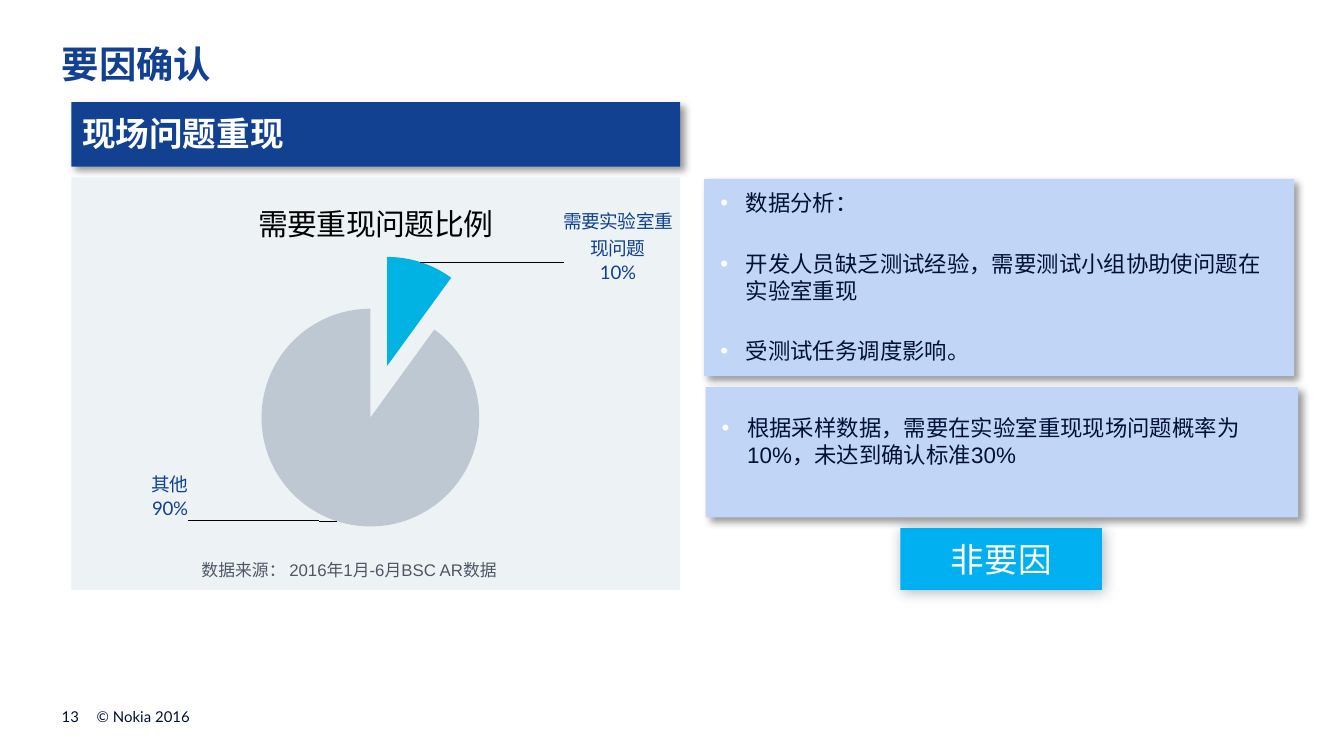
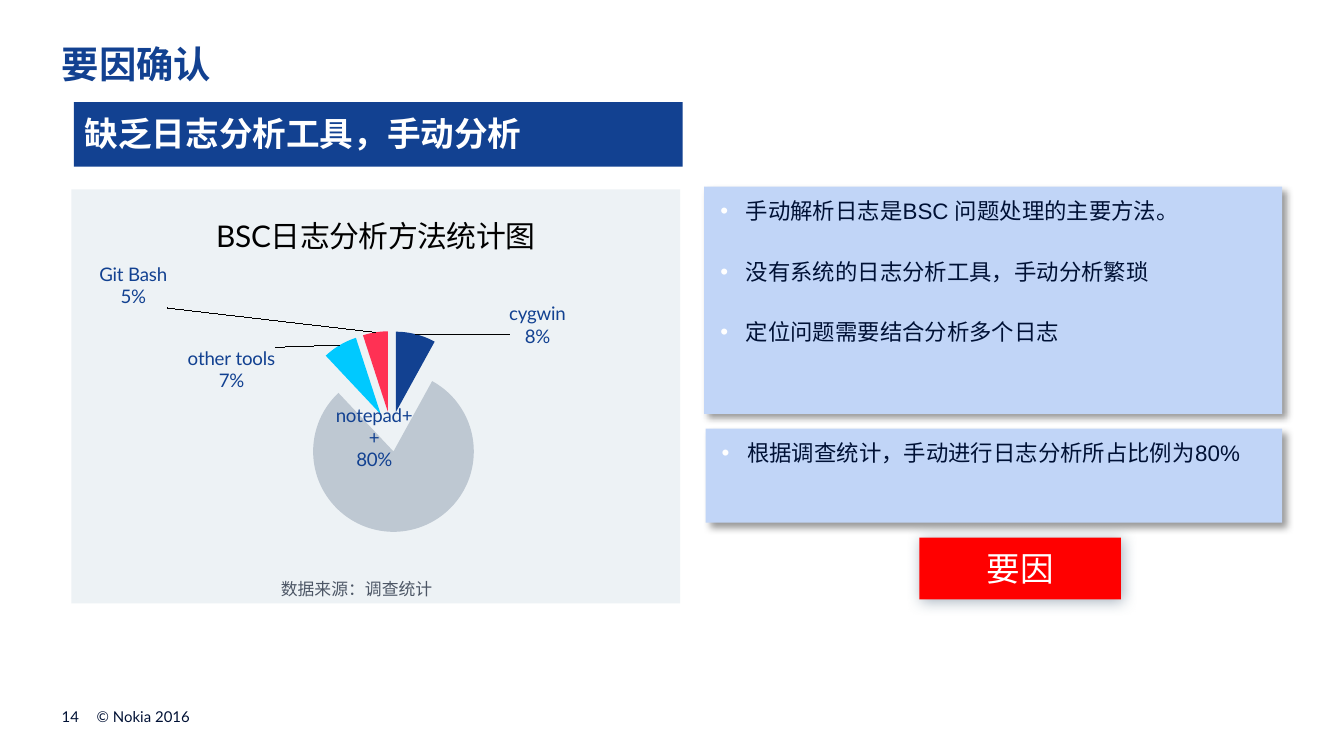
from dataclasses import dataclass

from lxml import etree
from pptx import Presentation
from pptx.chart.data import CategoryChartData
from pptx.dml.color import RGBColor
from pptx.enum.chart import XL_CHART_TYPE
from pptx.enum.shapes import MSO_SHAPE
from pptx.enum.text import MSO_ANCHOR, PP_ALIGN
from pptx.oxml import parse_xml
from pptx.oxml.ns import nsdecls, qn
from pptx.util import Pt


@dataclass(frozen=True)
class Theme:
    navy: str = "124191"
    ink: str = "001135"
    grey: str = "4D5766"
    black: str = "000000"
    white: str = "FFFFFF"
    panel: str = "EDF2F5"
    note: str = "C1D5F7"
    slate: str = "BEC8D2"
    sky: str = "00B3E3"
    cyan: str = "00C9FF"
    rose: str = "FF3154"
    minor: str = "00B0F0"
    major: str = "FF0000"
    haze: str = "6E8296"
    heading: str = "Roboto"
    label: str = "Lato"
    body: str = "Arial"
    title_size: int = 20
    banner_size: int = 18
    chart_title_size: int = 16
    body_size: int = 12
    chart_size: int = 10
    source_size: int = 9
    footer_size: int = 8


@dataclass(frozen=True)
class Box:
    left: float
    top: float
    width: float
    height: float

    def lengths(self):
        return [Pt(v) for v in (self.left, self.top, self.width, self.height)]


THEME = Theme()
TITLE_BOX = Box(33.1, 22.3, 654.5, 24.5)
NUMBER_BOX = Box(33.1, 379.4, 11.5, 9.4)
COPYRIGHT_BOX = Box(51.8, 379.4, 142, 9.4)
INSET = 5.76


def apply(target, formats):
    for name, value in formats.items():
        setattr(target, name, value)


def style_font(font, face, size, colour, bold=False):
    apply(font, {"name": face, "size": Pt(size), "bold": bold})
    font.color.rgb = RGBColor.from_string(colour)


def set_frame(frame, insets, anchor=MSO_ANCHOR.TOP):
    """Insets run left, top, right, bottom."""
    sides = ("margin_left", "margin_top", "margin_right", "margin_bottom")
    apply(frame, {"word_wrap": True, "vertical_anchor": anchor})
    apply(frame, {side: Pt(inset) for side, inset in zip(sides, insets)})


def write_line(frame, text, face, size, colour, bold=False, align=PP_ALIGN.LEFT):
    line = frame.paragraphs[0]
    apply(line, {"text": text, "alignment": align})
    style_font(line.runs[0].font, face, size, colour, bold)


def add_text(slide, box, text, face, size, colour, bold=False, inset=0, anchor=MSO_ANCHOR.TOP):
    frame = slide.shapes.add_textbox(*box.lengths()).text_frame
    set_frame(frame, [inset] * 4, anchor)
    write_line(frame, text, face, size, colour, bold)


def add_shadow(shape, colour=THEME.black, alpha=40, blur=4, distance=3):
    shape._element.spPr.append(parse_xml(
        f'<a:effectLst {nsdecls("a")}><a:outerShdw blurRad="{Pt(blur)}" dist="{Pt(distance)}" '
        f'dir="2700000" algn="tl" rotWithShape="0"><a:srgbClr val="{colour}">'
        f'<a:alpha val="{alpha * 1000}"/></a:srgbClr></a:outerShdw></a:effectLst>'))


def add_block(slide, box, fill, shadow):
    """Add a borderless rectangle; shadow holds add_shadow values, None for no shadow."""
    block = slide.shapes.add_shape(MSO_SHAPE.RECTANGLE, *box.lengths())
    block.fill.solid()
    block.fill.fore_color.rgb = RGBColor.from_string(fill)
    block.line.fill.background()
    if shadow is None:
        block.shadow.inherit = False
    else:
        add_shadow(block, **shadow)
    return block.text_frame


def add_banner(slide, box, text, shadow):
    frame = add_block(slide, box, THEME.navy, shadow)
    set_frame(frame, [INSET] * 4)
    write_line(frame, text, THEME.label, THEME.banner_size, THEME.white, bold=True)


def add_badge(slide, box, text, fill):
    frame = add_block(slide, box, fill, dict(colour=THEME.haze, alpha=60, blur=8, distance=1.5))
    set_frame(frame, [INSET] * 4)
    write_line(frame, text, THEME.label, THEME.banner_size, THEME.white, align=PP_ALIGN.CENTER)


def add_notes_panel(slide, box, lines, top_inset=INSET):
    frame = add_block(slide, box, THEME.note, {})
    set_frame(frame, [2.88, top_inset, 14.4, 0])
    for index, text in enumerate(lines):
        point = frame.paragraphs[0] if index == 0 else frame.add_paragraph()
        properties = point._p.get_or_add_pPr()
        apply(point, {"text": text, "alignment": PP_ALIGN.LEFT,
                      "space_before": Pt(12 if index else 0), "space_after": Pt(6)})
        properties.set("marL", str(Pt(19.4)))
        properties.set("indent", str(Pt(-13.7)))
        colour = etree.SubElement(properties, qn("a:buClr"))
        etree.SubElement(colour, qn("a:srgbClr"), val=THEME.white)
        etree.SubElement(properties, qn("a:buFont"), typeface=THEME.body)
        etree.SubElement(properties, qn("a:buChar"), char="•")
        style_font(point.runs[0].font, THEME.body, THEME.body_size, THEME.ink)


def layout_xml(**values):
    tags = "".join(f'<c:{name} val="{value}"/>' for name, value in values.items())
    return f"<c:layout><c:manualLayout>{tags}</c:manualLayout></c:layout>"


def label_xml(slices):
    """Category and percentage labels, each shifted from its default place."""
    def shows(position):
        flags = dict(showLegendKey=0, showVal=0, showCatName=1, showSerName=0,
                     showPercent=1, showBubbleSize=0)
        return ('<c:numFmt formatCode="0%" sourceLinked="0"/><c:spPr><a:noFill/></c:spPr>'
                f'<c:dLblPos val="{position}"/>'
                + "".join(f'<c:{flag} val="{on}"/>' for flag, on in flags.items())
                + "<c:separator>\n</c:separator>")
    labels = "".join(
        f'<c:dLbl><c:idx val="{index}"/>{layout_xml(x=part.shift[0], y=part.shift[1])}'
        f'{shows(part.position)}</c:dLbl>' for index, part in enumerate(slices))
    return (f'<c:dLbls {nsdecls("c", "a")}>{labels}{shows("outEnd")}'
            '<c:showLeaderLines val="1"/></c:dLbls>')


@dataclass(frozen=True)
class Slice:
    name: str
    value: int
    colour: str
    shift: tuple
    position: str = "outEnd"


def add_pie(slide, box, title, slices, plot_area):
    data = CategoryChartData(number_format="General")
    data.categories = [part.name for part in slices]
    data.add_series("Series 1", [part.value for part in slices])
    chart = slide.shapes.add_chart(XL_CHART_TYPE.PIE, *box.lengths(), data).chart
    style_font(chart.font, THEME.label, THEME.chart_size, THEME.navy)
    apply(chart, {"has_legend": False, "has_title": True})
    heading = chart.chart_title.text_frame
    heading.text = title
    style_font(heading.paragraphs[0].runs[0].font, THEME.label, THEME.chart_title_size, THEME.black)

    plot = chart.plots[0]
    plot.vary_by_categories = False
    pie = plot.series[0]
    for index, part in enumerate(slices):
        fill = pie.points[index].format.fill
        fill.solid()
        fill.fore_color.rgb = RGBColor.from_string(part.colour)
    pie._element.find(qn("c:cat")).addprevious(parse_xml(label_xml(slices)))
    explosion = parse_xml(f'<c:explosion {nsdecls("c")} val="25"/>')
    pie._element.find(qn("c:dPt")).addprevious(explosion)

    x, y, w, h = plot_area
    area = chart._chartSpace.chart.plotArea
    for automatic in area.findall(qn("c:layout")):
        area.remove(automatic)
    manual = layout_xml(layoutTarget="inner", xMode="edge", yMode="edge", x=x, y=y, w=w, h=h)
    area.insert(0, parse_xml(manual.replace("<c:layout>", f'<c:layout {nsdecls("c")}>', 1)))
    chart._chartSpace.chart.addnext(parse_xml(
        f'<c:spPr {nsdecls("c", "a")}><a:solidFill><a:srgbClr val="{THEME.panel}"/></a:solidFill>'
        '<a:ln><a:noFill/></a:ln></c:spPr>'))


def add_page(deck, number):
    slide = deck.slides.add_slide(deck.slide_layouts[6])
    for box, text in ((NUMBER_BOX, str(number)), (COPYRIGHT_BOX, "© Nokia 2016")):
        add_text(slide, box, text, THEME.label, THEME.footer_size, THEME.ink, anchor=MSO_ANCHOR.BOTTOM)
    add_text(slide, TITLE_BOX, "要因确认", THEME.heading, THEME.title_size, THEME.navy, bold=True)
    return slide


def add_source(slide, box, text):
    add_text(slide, box, text, THEME.body, THEME.source_size, THEME.grey, inset=INSET)


def build_reproduction(deck):
    slide = add_page(deck, 13)
    add_notes_panel(slide, Box(377.3, 95.8, 316, 105.8), [
        "数据分析：",
        "开发人员缺乏测试经验，需要测试小组协助使问题在实验室重现",
        "受测试任务调度影响。",
    ])
    add_badge(slide, Box(482.4, 283, 108, 33.1), "非要因", THEME.minor)
    add_banner(slide, Box(38.2, 54.7, 326.2, 34.6), "现场问题重现", {})
    add_pie(slide, Box(38.2, 95, 326.2, 221), "需要重现问题比例", [
        Slice("需要实验室重现问题", 10, THEME.sky, (0.23, 0.07)),
        Slice("其他", 90, THEME.slate, (-0.24, -0.14)),
    ], (0.1, 0.19, 0.81, 0.66))
    add_notes_panel(slide, Box(378, 207.4, 317.5, 69.8), [
        "根据采样数据，需要在实验室重现现场问题概率为10%，未达到确认标准30%",
    ], top_inset=14.4)
    add_source(slide, Box(102.2, 294.5, 198, 22.3), "数据来源： 2016年1月-6月BSC AR数据")


def build_log_tools(deck):
    slide = add_page(deck, 14)
    add_notes_panel(slide, Box(377.3, 100, 309.6, 121.7), [
        "手动解析日志是BSC 问题处理的主要方法。",
        "没有系统的日志分析工具，手动分析繁琐",
        "定位问题需要结合分析多个日志",
    ])
    add_badge(slide, Box(492.5, 288, 108, 33.1), "要因", THEME.major)
    add_banner(slide, Box(39.6, 54.7, 326.2, 34.6), "缺乏日志分析工具，手动分析", None)
    add_pie(slide, Box(38.2, 101.5, 326.2, 221.8), "BSC日志分析方法统计图", [
        Slice("cygwin", 8, THEME.navy, (0.15, 0.05)),
        Slice("notepad++", 80, THEME.slate, (-0.04, -0.13), "ctr"),
        Slice("other tools", 7, THEME.cyan, (-0.1, 0.13)),
        Slice("Git Bash", 5, THEME.rose, (-0.34, -0.04)),
    ], (0.36, 0.34, 0.33, 0.49))
    add_notes_panel(slide, Box(378, 229.7, 308.9, 50.4), [
        "根据调查统计，手动进行日志分析所占比例为80%",
    ])
    add_source(slide, Box(144.7, 304.6, 167, 22.3), "数据来源：调查统计")


def main():
    deck = Presentation()
    apply(deck, {"slide_width": Pt(720), "slide_height": Pt(405)})
    build_reproduction(deck)
    build_log_tools(deck)
    deck.save("out.pptx")


if __name__ == "__main__":
    main()
